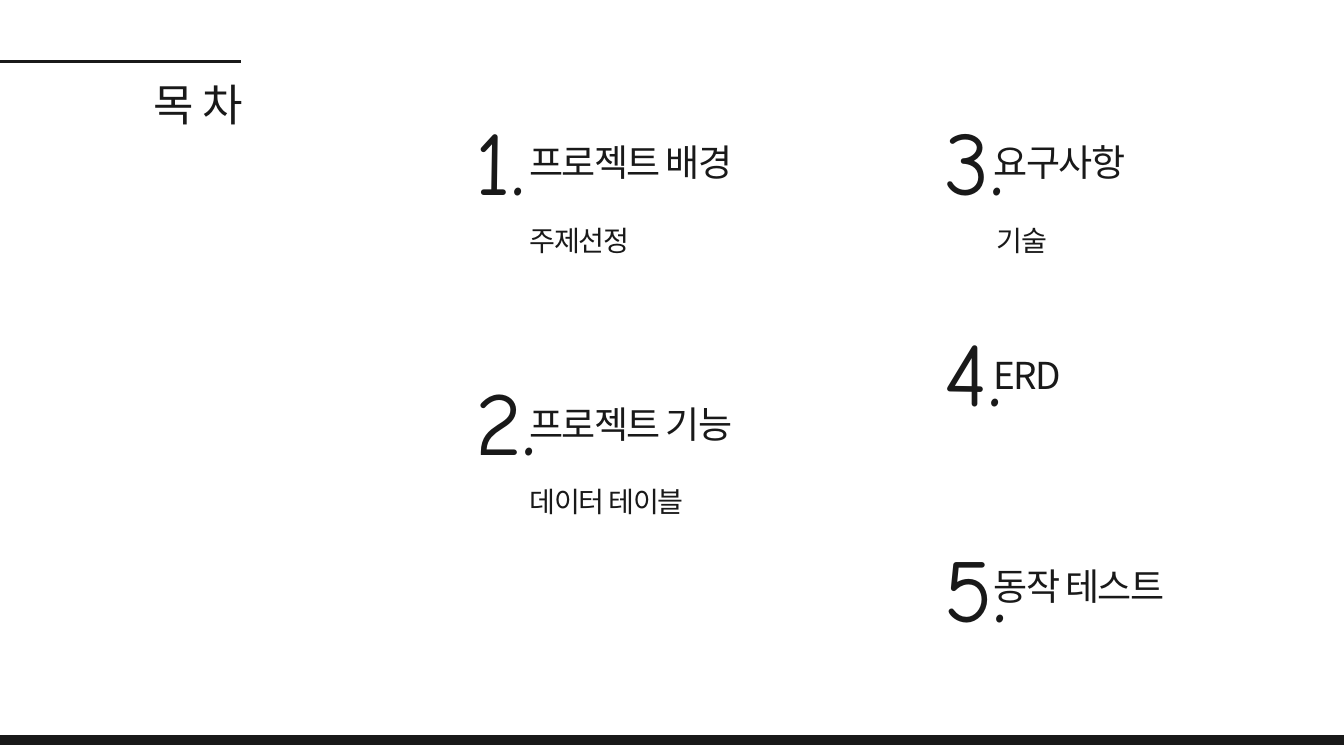
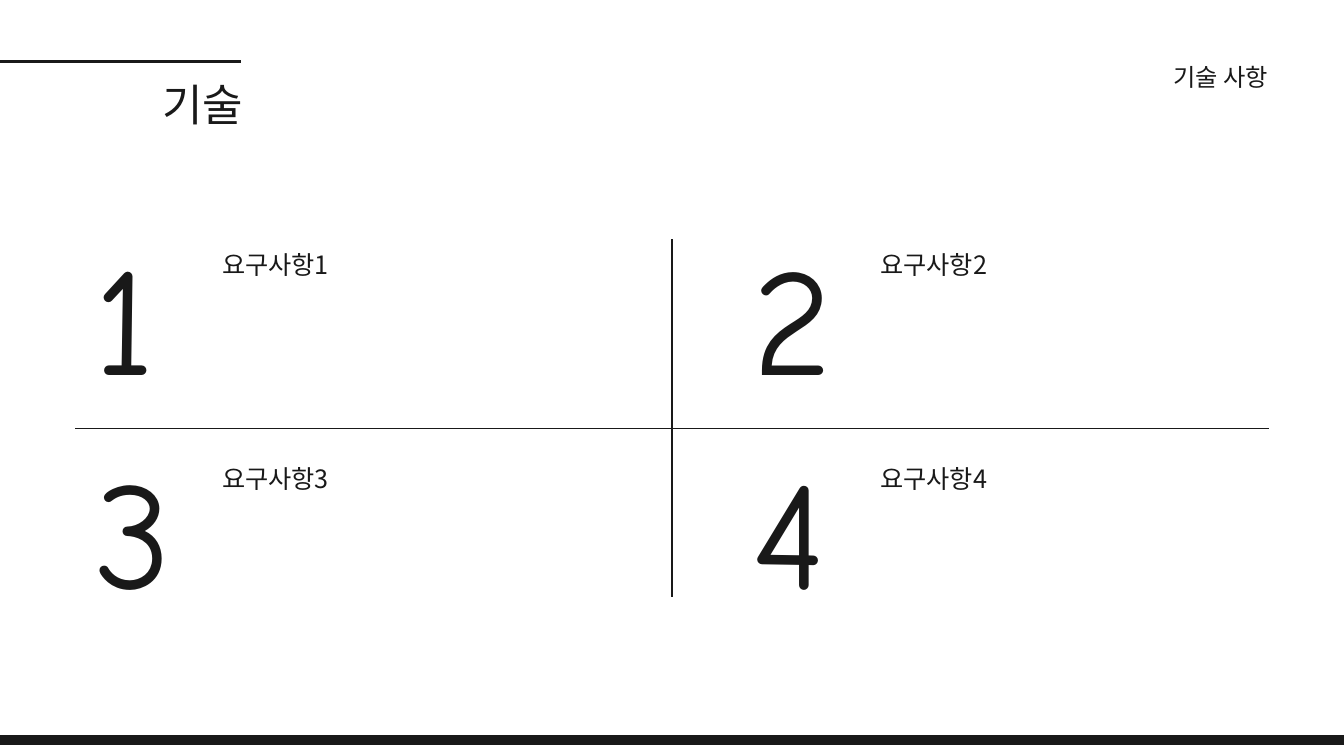
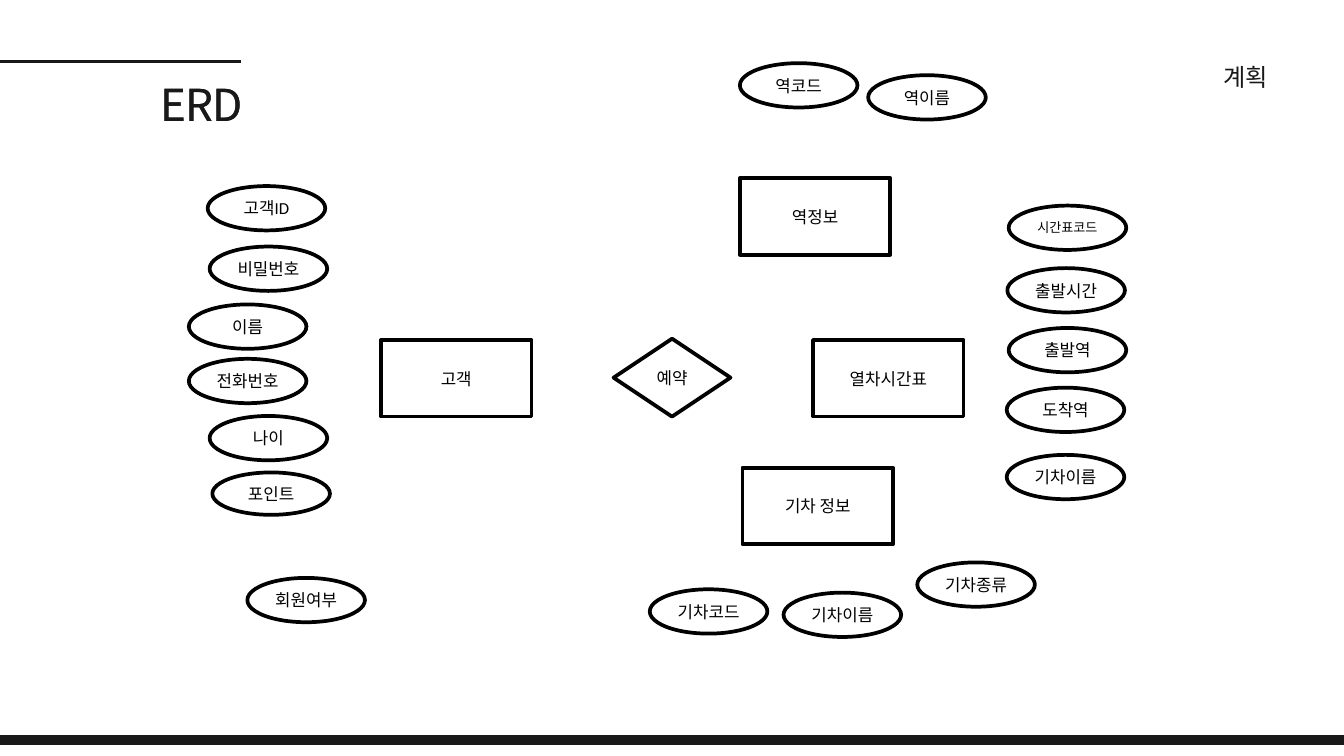
from pptx import Presentation
from pptx import util as u
from pptx.dml.color import RGBColor
from pptx.enum import shapes, text
from pptx.oxml import ns
from lxml import etree

INK, BLACK, PAPER = "191919", "000000", "FFFFFF"
KOREAN, DIGITS, LATIN = "Noto Sans CJK KR", "Comic Neue", "Calibri"
LEFT, RIGHT, CENTER = text.PP_ALIGN.LEFT, text.PP_ALIGN.RIGHT, text.PP_ALIGN.CENTER
SHAPE = shapes.MSO_SHAPE


def color(hex_code):
    return RGBColor.from_string(hex_code)


def write(frame, words, size, font=KOREAN, ink=INK, align=LEFT, leading=None, tracking=0):
    frame.text = words
    paragraph = frame.paragraphs[0]
    paragraph.alignment = align
    if leading:
        paragraph.line_spacing = u.Pt(leading)
    run = paragraph.runs[0]
    run.font.size = u.Pt(size)
    run.font.name = font
    run.font.color.rgb = color(ink)
    props = run.font._element
    etree.SubElement(props, ns.qn("a:ea")).set("typeface", KOREAN)
    if tracking:
        props.set("spc", str(round(tracking * 100)))


def strip_frame(frame):
    frame.margin_left = frame.margin_right = frame.margin_top = frame.margin_bottom = 0
    frame.word_wrap = True
    frame.auto_size = text.MSO_AUTO_SIZE.NONE
    frame.vertical_anchor = text.MSO_ANCHOR.TOP


def add_label(slide, box, words, size, **style):
    label = slide.shapes.add_textbox(*map(u.Pt, box))
    strip_frame(label.text_frame)
    write(label.text_frame, words, size, **style)


def add_rule(slide, start, end, weight):
    rule = slide.shapes.add_connector(
        shapes.MSO_CONNECTOR.STRAIGHT, *map(u.Pt, start + end))
    rule.line.color.rgb = color(INK)
    rule.line.width = u.Pt(weight)
    etree.SubElement(rule._element.spPr, ns.qn("a:effectLst"))


# Shared frame: background, bottom band, title under its rule, corner label
TITLE_BOX = (88.56, 74.16, 172.08, 62.64)
TITLE_STYLE = dict(size=47.1, align=RIGHT, leading=65.9, tracking=-0.7)


def add_page(deck, heading, corner=None):
    slide = deck.slides.add_slide(deck.slide_layouts[5])
    slide.background.fill.solid()
    slide.background.fill.fore_color.rgb = color(PAPER)

    band = slide.shapes.add_shape(SHAPE.RECTANGLE, *map(u.Pt, (-23, 788.4, 1486, 9.4)))
    band.shadow.inherit = False
    band.fill.solid()
    band.fill.fore_color.rgb = color(INK)
    band.line.color.rgb = color(INK)
    band.line.width = u.Pt(1.5)

    title = slide.shapes.title
    title.left, title.top, title.width, title.height = map(u.Pt, TITLE_BOX)
    strip_frame(title.text_frame)
    write(title.text_frame, heading, **TITLE_STYLE)
    add_rule(slide, (0, 65.5), (257.8, 65.5), 3)
    if corner:
        add_label(slide, (1053.4, 61.2, 305.3, 35.3), corner, 26, align=RIGHT, leading=36.4)
    return slide


# Contents
def add_section(slide, number, number_at, heading, heading_at, detail=None, detail_left=0):
    left, top = heading_at
    add_label(slide, (left, top, 240.5, 53.3), heading, 39.7, leading=55.6, tracking=-1.8)
    if detail:
        add_label(slide, (detail_left, top + 82, 309.6, 48.2), detail, 30.2,
                  leading=51.4, tracking=-1.4)
    add_label(slide, (*number_at, 69.8, 129.6), f"{number}.", 96.3,
              font=DIGITS, leading=134.8)


# Requirements grid
def add_requirement(slide, number, left, top):
    add_label(slide, (left + 137.2, top + 56.2, 415.4, 36.7), f"요구사항{number}", 27,
              leading=37.8)
    add_label(slide, (left, top, 118.8, 218.9), str(number), 163.6,
              font=DIGITS, leading=229)


# Entity-relationship diagram
def add_node(slide, kind, box, words, size=18):
    node = slide.shapes.add_shape(kind, *map(u.Pt, box))
    node.shadow.inherit = False
    node.fill.background()
    node.line.color.rgb = color(BLACK)
    node.line.width = u.Pt(4)
    node.text_frame.vertical_anchor = text.MSO_ANCHOR.MIDDLE
    write(node.text_frame, words, size, font=LATIN, ink=BLACK, align=CENTER)


ENTITIES = [
    ("고객", 408.2, 364.3),
    ("열차시간표", 871.2, 364.3),
    ("역정보", 792.7, 190.8),
    ("기차 정보", 795.6, 501.1),
]
ATTRIBUTES = [
    # customer
    ("고객ID", 222.5, 199.4), ("비밀번호", 224.6, 264.2), ("이름", 202.3, 326.2),
    ("전화번호", 202.3, 384.5), ("나이", 224.6, 445.7), ("포인트", 227.5, 506.2),
    ("회원여부", 265, 619.2),
    # timetable
    ("시간표코드", 1080.7, 220.3), ("출발시간", 1079.3, 287.3), ("출발역", 1080.7, 351.4),
    ("도착역", 1078.6, 415.4), ("기차이름", 1078.6, 487.4),
    # station
    ("역코드", 792.7, 67.7), ("역이름", 930.2, 80.6),
    # train
    ("기차코드", 696.2, 631.4), ("기차이름", 839.5, 635), ("기차종류", 982.8, 602.6),
]


def main():
    deck = Presentation()
    deck.slide_width, deck.slide_height = u.Pt(1440), u.Pt(810)

    contents = add_page(deck, "목 차")
    add_section(contents, 1, (509.8, 94.3), "프로젝트 배경", (567.4, 141.8), "주제선정", 567.4)
    add_section(contents, 2, (509.8, 373), "프로젝트 기능", (567.4, 421.9), "데이터 테이블", 567.4)
    add_section(contents, 3, (1012.3, 94.3), "요구사항", (1064.9, 141.8), "기술", 1067.8)
    add_section(contents, 4, (1012.3, 320.4), "ERD", (1064.9, 369.4))
    add_section(contents, 5, (1012.3, 551.5), "동작 테스트", (1064.9, 596.2))

    requirements = add_page(deck, "기술", "기술 사항")
    for index in range(4):
        row, column = divmod(index, 2)
        add_requirement(requirements, index + 1, 100.8 + 705.2 * column, 205.9 + 229 * row)
    add_rule(requirements, (80.6, 459.4), (1359.4, 459.4), 1.5)
    add_rule(requirements, (720, 639.4), (720, 256.3), 1.5)

    diagram = add_page(deck, "ERD", "계획")
    # A second layer gives this title its heavier strokes
    left, top, width, height = TITLE_BOX
    add_label(diagram, (left, top - 0.7, width, height), "ERD", **TITLE_STYLE)
    add_node(diagram, SHAPE.FLOWCHART_DECISION, (657.4, 362.9, 125.3, 83.5), "예약")
    for entity, left, top in ENTITIES:
        add_node(diagram, SHAPE.RECTANGLE, (left, top, 161.3, 82.1), entity)
    for attribute, left, top in ATTRIBUTES:
        height = 45.4 if attribute == "포인트" else 47.5
        size = 14 if len(attribute) == 5 and "ID" not in attribute else 18
        add_node(diagram, SHAPE.OVAL, (left, top, 126, height), attribute, size)

    deck.save("out.pptx")


if __name__ == "__main__":
    main()
